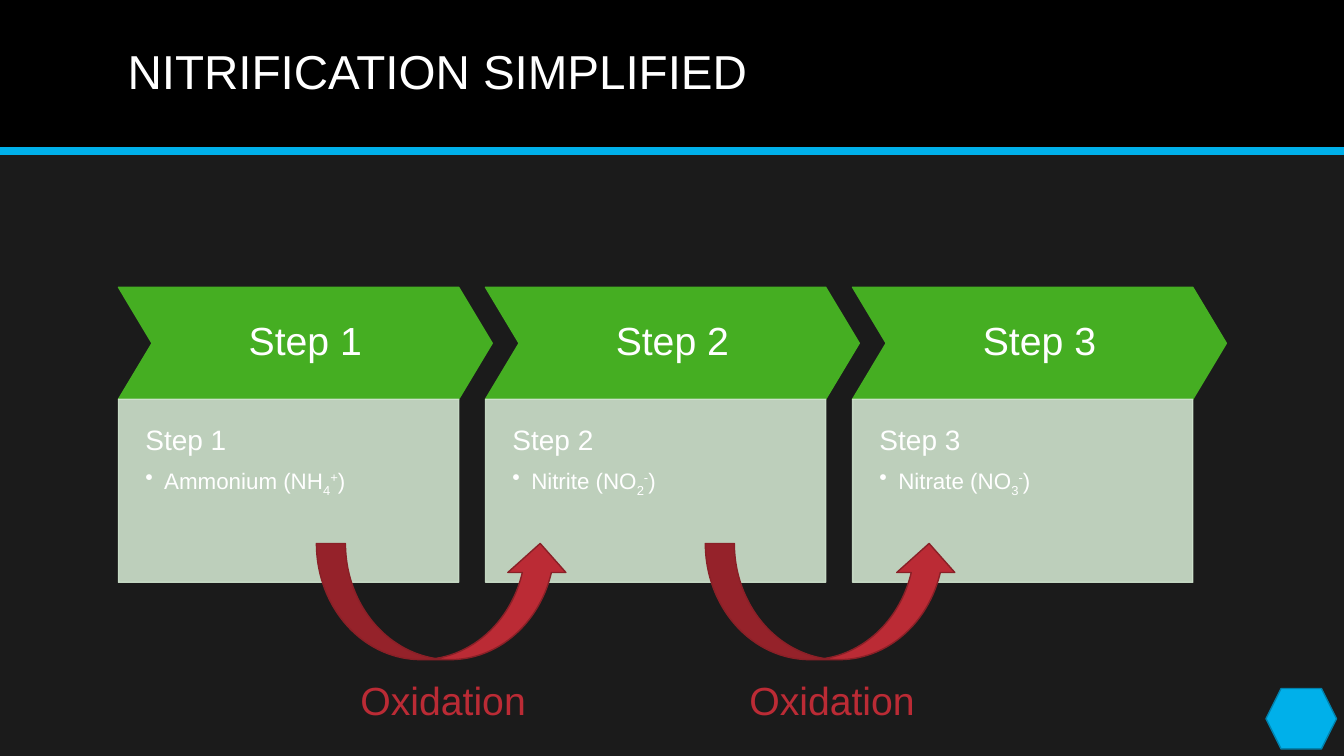
from pptx import Presentation
from pptx.dml.color import RGBColor
from pptx.enum.shapes import MSO_CONNECTOR, MSO_SHAPE
from pptx.enum.text import MSO_ANCHOR, PP_ALIGN
from pptx.oxml.ns import qn
from pptx.util import Pt
from lxml import etree

CENTER, LEFT = PP_ALIGN.CENTER, PP_ALIGN.LEFT
MIDDLE, TOP = MSO_ANCHOR.MIDDLE, MSO_ANCHOR.TOP
COLORS = {
    "background": "1B1B1B", "header": "000000", "accent": "00B0EA", "accent_edge": "0082AD",
    "step": "45AE22", "panel": "CFE3CD", "oxidation": "BB2B35", "oxidation_edge": "8A2027",
    "text": "FFFFFF",
}
TITLE_ONLY_LAYOUT = 5
PANEL_OPACITY = "90000"


def write(paragraph, text, size, color="text", baseline=0, align=LEFT, spacing=0.9, after=0):
    """Append one formatted run; baseline is a percentage, negative for subscript."""
    paragraph.alignment = align
    paragraph.line_spacing = spacing
    paragraph.space_after = Pt(after)
    run = paragraph.add_run()
    run.text = text
    run.font.name = "Arial"
    run.font.size = Pt(size)
    run.font.color.rgb = RGBColor.from_string(COLORS[color])
    if baseline:
        run.font._element.set("baseline", str(baseline * 1000))


def add_filled_shape(kind, left, top, width, height, fill, edge=None):
    shape = slide.shapes.add_shape(kind, Pt(left), Pt(top), Pt(width), Pt(height))
    shape.shadow.inherit = False
    shape.fill.solid()
    shape.fill.fore_color.rgb = RGBColor.from_string(COLORS[fill])
    if edge:
        shape.line.color.rgb = RGBColor.from_string(COLORS[edge])
        shape.line.width = Pt(1)
    else:
        shape.line.fill.background()
    return shape


presentation = Presentation()
presentation.slide_width, presentation.slide_height = Pt(960), Pt(540)
slide = presentation.slides.add_slide(presentation.slide_layouts[TITLE_ONLY_LAYOUT])
slide.background.fill.solid()
slide.background.fill.fore_color.rgb = RGBColor.from_string(COLORS["background"])

# Header band with its accent line
add_filled_shape(MSO_SHAPE.RECTANGLE, 0, 0, 960, 108, "header")
header_line = slide.shapes.add_connector(MSO_CONNECTOR.STRAIGHT, Pt(0), Pt(108), Pt(960), Pt(108))
header_line.line.color.rgb = RGBColor.from_string(COLORS["accent"])
header_line.line.width = Pt(6)
etree.SubElement(header_line._element.spPr, qn("a:effectLst"))

# The title is raised above the band
title = slide.shapes.title
title._element.getparent().append(title._element)
title.left, title.top, title.width, title.height = Pt(84), Pt(10), Pt(792), Pt(86.4)
title.text_frame.vertical_anchor = MIDDLE
write(title.text_frame.paragraphs[0], "NITRIFICATION SIMPLIFIED", 34)

# Steps: a chevron above a panel naming the compound
steps = [
    ("Step 1", "Ammonium (NH", "4", "+"),
    ("Step 2", "Nitrite (NO", "2", "-"),
    ("Step 3", "Nitrate (NO", "3", "-"),
]
for index, (name, compound, count, charge) in enumerate(steps):
    left = 84.6 + index * 262.2

    chevron = add_filled_shape(MSO_SHAPE.CHEVRON, left, 205.2, 267, 80, "step", "step")
    chevron.adjustments[0] = 0.3
    chevron.text_frame.vertical_anchor = MIDDLE
    write(chevron.text_frame.paragraphs[0], name, 28, align=CENTER)

    panel = add_filled_shape(MSO_SHAPE.RECTANGLE, left, 285.2, 243, 130.8, "panel", "panel")
    for color in panel._element.spPr.iter(qn("a:srgbClr")):
        etree.SubElement(color, qn("a:alpha"), val=PANEL_OPACITY)
    frame = panel.text_frame
    frame.word_wrap = True
    frame.vertical_anchor = TOP
    frame.margin_left = frame.margin_top = frame.margin_right = Pt(19.2)
    frame.margin_bottom = Pt(38)
    write(frame.paragraphs[0], name, 20, after=8)

    bullet = frame.add_paragraph()
    for text, baseline in ((compound, 0), (count, -25), (charge, 30), (")", 0)):
        write(bullet, text, 16, baseline=baseline, after=3)
    properties = bullet._element.get_or_add_pPr()
    properties.set("marL", str(Pt(13.5)))
    properties.set("indent", str(Pt(-13.5)))
    etree.SubElement(properties, qn("a:buChar"), char="•")

# Oxidation arrows leading from each step to the next
for left in (226, 503.8):
    add_filled_shape(MSO_SHAPE.CURVED_UP_ARROW, left, 388.2, 180.6, 83,
                     "oxidation", "oxidation_edge")
    label = slide.shapes.add_textbox(Pt(left - 7.4), Pt(479.5), Pt(195.8), Pt(41))
    label.text_frame.word_wrap = True
    write(label.text_frame.paragraphs[0], "Oxidation", 28, "oxidation", align=CENTER, spacing=1.0)

add_filled_shape(MSO_SHAPE.HEXAGON, 904.3, 491.8, 50.4, 43.2, "accent", "accent_edge")

presentation.save("out.pptx")
